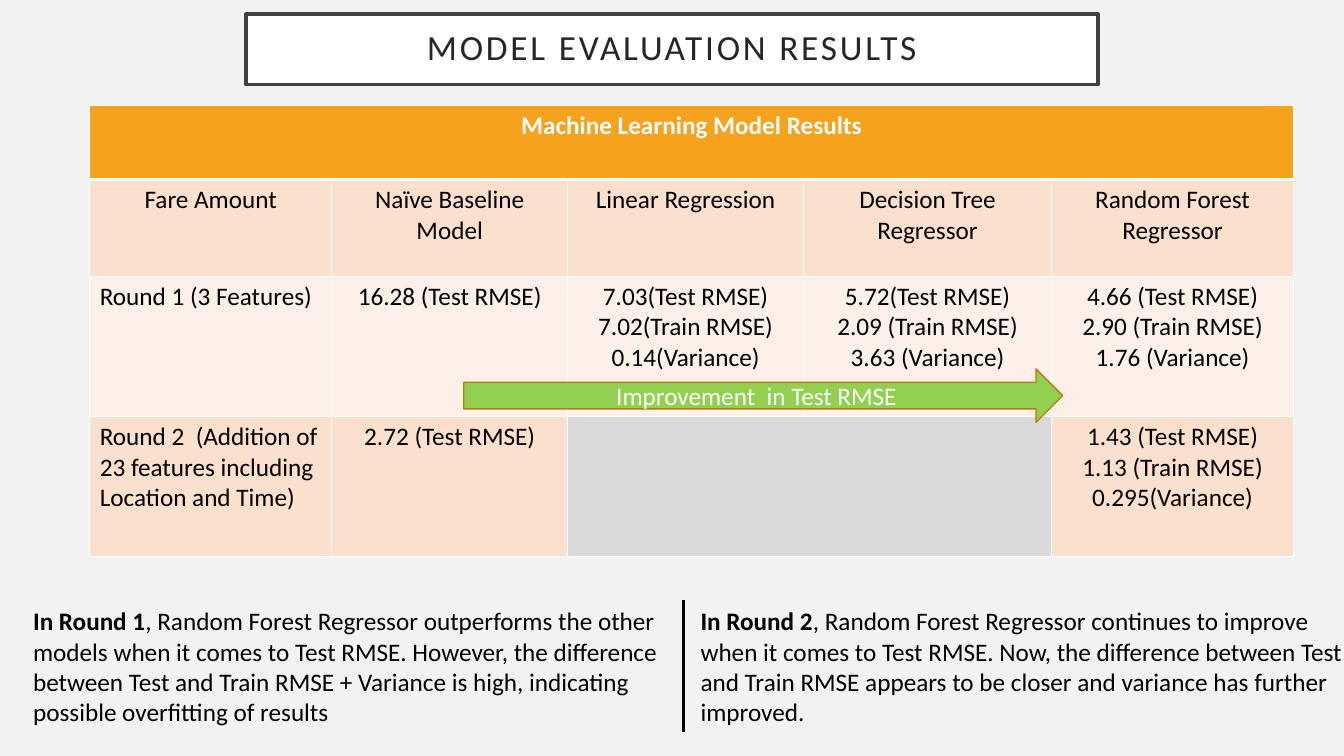
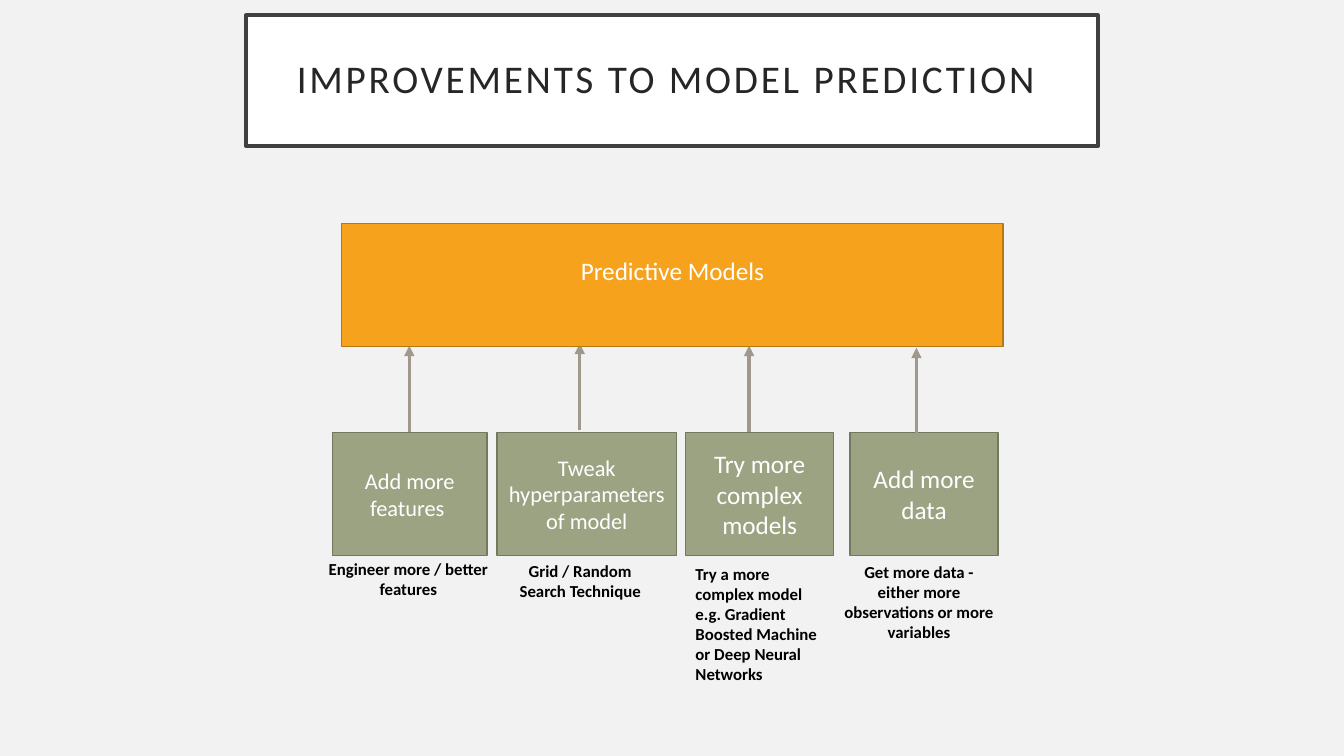
from dataclasses import dataclass

from lxml import etree
from pptx import Presentation
from pptx.dml.color import RGBColor
from pptx.enum.shapes import MSO_CONNECTOR, MSO_SHAPE
from pptx.enum.text import MSO_ANCHOR, MSO_AUTO_SIZE, PP_ALIGN
from pptx.oxml.ns import qn
from pptx.util import Inches, Pt

LEFT, MID = PP_ALIGN.LEFT, PP_ALIGN.CENTER
CENTRE, FIXED = MSO_ANCHOR.MIDDLE, MSO_AUTO_SIZE.NONE
RECT, ARROW = MSO_SHAPE.RECTANGLE, MSO_SHAPE.RIGHT_ARROW
STRAIGHT = MSO_CONNECTOR.STRAIGHT


@dataclass(frozen=True)
class Theme:
    font: str = "Calibri"
    back: str = "F2F2F2"
    white: str = "FFFFFF"
    black: str = "000000"
    ink: str = "262626"
    frame: str = "404040"
    orange: str = "F6A21D"
    rust: str = "B67815"
    peach: str = "FBE0CD"
    cream: str = "FDF0E8"
    grey: str = "D9D9D9"
    lime: str = "92D050"
    sage: str = "9CA383"
    moss: str = "737961"
    taupe: str = "A0988C"
    body: float = 18
    small: float = 16
    note: float = 12
    thin: float = 1
    thick: float = 2.5


T = Theme()


def write(frame, text, size, color, bold=False, align=MID, form=None):
    """Fill a text frame; text before a | is bold, form holds frame settings."""
    for name, value in ({"word_wrap": True} | (form or {})).items():
        setattr(frame, name, value)
    frame.text = ""
    for i, line in enumerate(text.split("\n")):
        para = frame.add_paragraph() if i else frame.paragraphs[0]
        para.alignment = align
        parts = line.split("|")
        for j, part in enumerate(parts):
            run = para.add_run()
            run.text = part
            look = {"name": T.font, "size": Pt(size),
                    "bold": bold or j < len(parts) - 1}
            for name, value in look.items():
                setattr(run.font, name, value)
            run.font.color.rgb = RGBColor.from_string(color)


def paint(shape, line, width, fill=None):
    """Set line and fill, and drop the shadow."""
    shape.line.color.rgb = RGBColor.from_string(line)
    shape.line.width = Pt(width)
    if fill:
        shape.fill.solid()
        shape.fill.fore_color.rgb = RGBColor.from_string(fill)
        shape.shadow.inherit = False
    else:
        etree.SubElement(shape.line._get_or_add_ln().getparent(), qn("a:effectLst"))


deck = Presentation()
deck.slide_width, deck.slide_height = Inches(13.33), Inches(7.5)
back = deck.slide_master.background.fill
back.solid()
back.fore_color.rgb = RGBColor.from_string(T.back)

# Framed titles
heads = [("MODEL EVALUATION RESULTS", 0.14, 0.7, 25.2),
         ("IMPROVEMENTS TO MODEL PREDICTION ", 0.15, 1.3, 28)]
slides = []
pad = Inches(0.2)
title_form = {"auto_size": FIXED, "vertical_anchor": CENTRE,
              "margin_left": pad, "margin_right": pad,
              "margin_top": pad, "margin_bottom": pad}
for text, top, high, size in heads:
    slide = deck.slides.add_slide(deck.slide_layouts[5])
    title = slide.shapes.title
    spot = {"left": 2.44, "top": top, "width": 8.45, "height": high}
    for name, value in spot.items():
        setattr(title, name, Inches(value))
    paint(title, T.frame, T.thick, T.white)
    write(title.text_frame, text, size, T.ink, form=title_form)
    para = title.text_frame.paragraphs[0]
    para.line_spacing = 0.9
    para.runs[0].font._element.set("spc", "200")
    slides.append(slide.shapes)
results, plans = slides

# Results table
rows = [
    ["Machine Learning Model Results", "", "", "", ""],
    ["Fare Amount", "Naïve Baseline Model", "Linear Regression",
     "Decision Tree Regressor", "Random Forest Regressor"],
    ["Round 1 (3 Features)", "16.28 (Test RMSE)",
     "7.03(Test RMSE)\n7.02(Train RMSE)\n0.14(Variance)",
     "5.72(Test RMSE)\n2.09 (Train RMSE)\n3.63 (Variance)",
     "4.66 (Test RMSE)\n2.90 (Train RMSE)\n1.76 (Variance)"],
    ["Round 2  (Addition of 23 features including Location and Time)",
     "2.72 (Test RMSE)", "", "",
     "1.43 (Test RMSE)\n1.13 (Train RMSE)\n0.295(Variance)"],
]
fills = [T.orange, T.peach, T.cream, T.peach]
table = results.add_table(4, 5, Inches(0.89), Inches(1.05),
                          Inches(11.94), Inches(4.47)).table
for col, wide in zip(table.columns, [2.4, 2.34, 2.34, 2.46, 2.4]):
    col.width = Inches(wide)
for row, high in zip(table.rows, [0.73, 0.96, 1.39, 1.39]):
    row.height = Inches(high)
for r, row in enumerate(rows):
    for c, text in enumerate(row):
        cell = table.cell(r, c)
        props = cell._tc.get_or_add_tcPr()
        for side in "LRTB":
            heavy = (r, side) in [(0, "B"), (1, "T")]
            edge = etree.SubElement(props, qn("a:ln" + side),
                                    w=str(Pt(3 if heavy else T.thin)))
            solid = etree.SubElement(edge, qn("a:solidFill"))
            etree.SubElement(solid, qn("a:srgbClr"), val=T.white)
        cell.fill.solid()
        gap = r == 3 and c in (2, 3)
        cell.fill.fore_color.rgb = RGBColor.from_string(T.grey if gap else fills[r])
        if text:
            write(cell.text_frame, text, T.body, T.black if r else T.white,
                  bold=r == 0, align=LEFT if r > 1 and c == 0 else MID)
table.cell(0, 0).merge(table.cell(0, 4))
table.cell(3, 2).merge(table.cell(3, 3))

# Trend arrow
trend = results.add_shape(ARROW, Inches(4.6), Inches(3.66), Inches(5.94), Inches(0.53))
paint(trend, T.rust, T.thin, T.lime)
write(trend.text_frame, "Improvement  in Test RMSE", T.body, T.white,
      form={"vertical_anchor": CENTRE})

# Findings and their divider
finds = [
    (0.23, "In Round 1|, Random Forest Regressor outperforms the other models when "
           "it comes to Test RMSE. However, the difference between Test and Train "
           "RMSE + Variance is high, indicating possible overfitting of results"),
    (6.85, "In Round 2|, Random Forest Regressor continues to improve when it comes "
           "to Test RMSE. Now, the difference between Test and Train RMSE appears "
           "to be closer and variance has further improved."),
]
for x, text in finds:
    box = results.add_textbox(Inches(x), Inches(5.96), Inches(6.67), Inches(1.31))
    write(box.text_frame, text, T.body, T.black, align=LEFT)
rule = results.add_connector(STRAIGHT, Inches(6.78), Inches(5.95),
                             Inches(6.78), Inches(7.26))
paint(rule, T.black, T.thick)

# Improvement steps: box (left, width, size), arrow (x, foot), note (place, align)
steps = [
    ("Add more features ", 3.3, 1.53, T.small, 4.06, 4.29,
     "Engineer more / better features", (3.16, 5.49, 1.78, 0.71), MID),
    ("Tweak hyperparameters of model", 4.93, 1.78, T.small, 5.75, 4.27,
     "Grid / Random Search Technique", (4.91, 5.51, 1.69, 0.5), MID),
    ("Try more complex models", 6.8, 1.47, T.body, 7.43, 4.29,
     "Try a more complex model\ne.g. Gradient Boosted Machine or Deep Neural Networks",
     (6.8, 5.54, 1.54, 1.51), LEFT),
    ("Add more data", 8.43, 1.47, T.body, 9.09, 4.31,
     "Get more data - either more observations or more variables",
     (8.27, 5.52, 1.69, 0.91), MID),
]
for text, x, wide, size, mid, foot, note, place, align in steps:
    box = plans.add_shape(RECT, Inches(x), Inches(4.29), Inches(wide), Inches(1.22))
    paint(box, T.moss, T.thin, T.sage)
    write(box.text_frame, text, size, T.white, form={"vertical_anchor": CENTRE})
    link = plans.add_connector(STRAIGHT, Inches(mid), Inches(foot),
                               Inches(mid), Inches(foot - 0.86))
    paint(link, T.taupe, T.thick)
    etree.SubElement(link.line._get_or_add_ln(), qn("a:tailEnd"), type="triangle")
    label = plans.add_textbox(*map(Inches, place))
    write(label.text_frame, note, T.note, T.black, bold=True, align=align)

# Goal of all steps
goal = plans.add_shape(RECT, Inches(3.39), Inches(2.22), Inches(6.56), Inches(1.22))
paint(goal, T.rust, T.thin, T.orange)
write(goal.text_frame, "Predictive Models", T.body, T.white,
      form={"vertical_anchor": CENTRE, "margin_bottom": Inches(0.35)})

deck.save("out.pptx")
